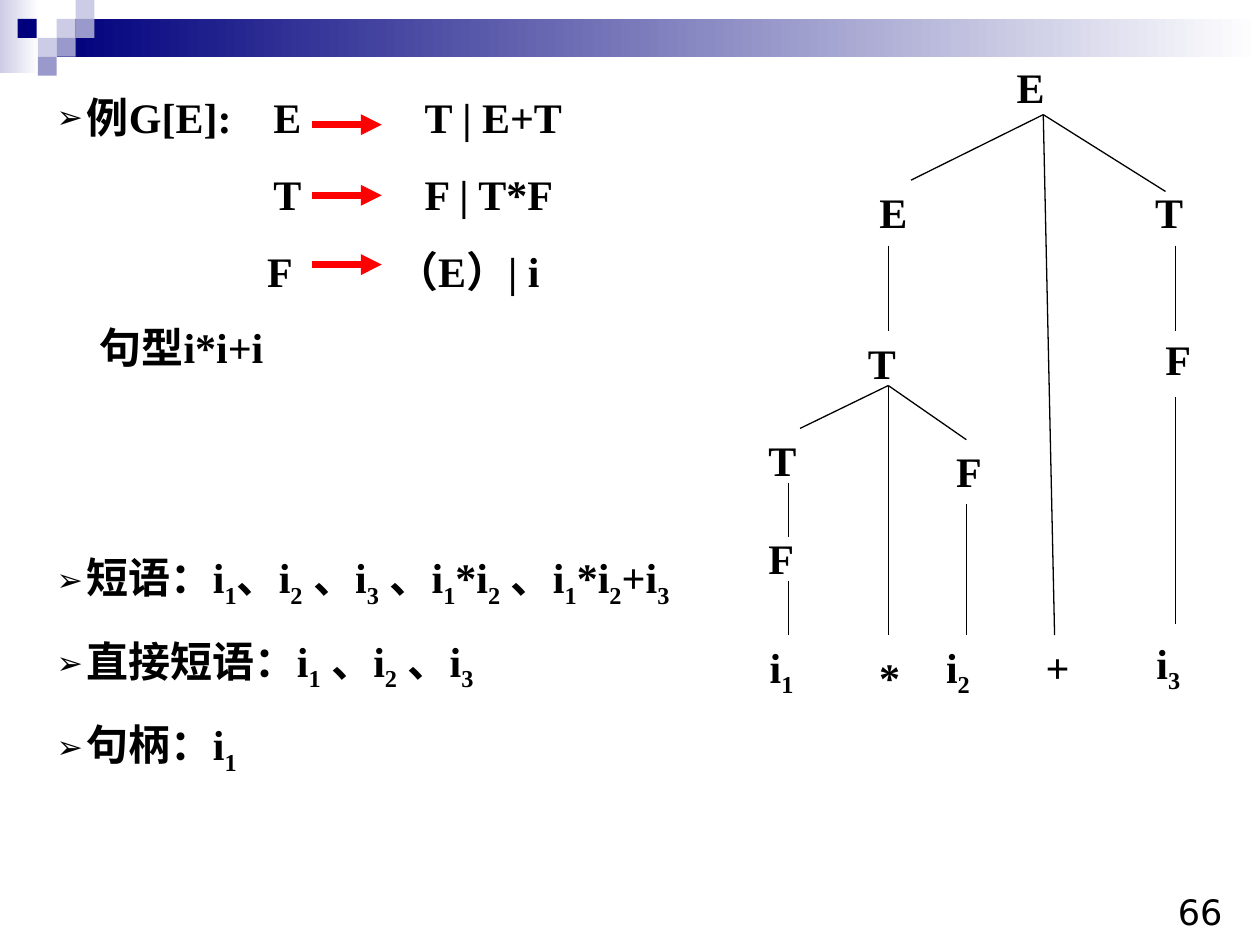
from lxml import etree
from pptx import Presentation
from pptx.dml.color import RGBColor
from pptx.enum.shapes import MSO_CONNECTOR, MSO_SHAPE
from pptx.enum.text import MSO_ANCHOR, MSO_AUTO_SIZE
from pptx.oxml.ns import qn
from pptx.util import Inches, Pt

STRAIGHT = MSO_CONNECTOR.STRAIGHT
RECTANGLE = MSO_SHAPE.RECTANGLE
TOP = MSO_ANCHOR.TOP
NO_AUTOFIT = MSO_AUTO_SIZE.NONE
NAVY, LAVENDER, VIOLET = "00007D", "CCCCE6", "9999CC"
WHITE, BLACK, RED = "FFFFFF", "000000", "FF0000"


def color(hex_string):
    return RGBColor.from_string(hex_string)


def write_formula(paragraph, text):
    """Add bold runs; the character after each underscore is a subscript."""
    first, *rest = text.split("_")
    pieces = [(first, False)]
    for part in rest:
        pieces += [(part[0], True), (part[1:], False)]
    for piece, is_subscript in pieces:
        if piece:
            run = paragraph.add_run()
            run.text = piece
            font_format = {"name": "Times New Roman", "size": Pt(24), "bold": True}
            for name, value in font_format.items():
                setattr(run.font, name, value)
            run.font.color.rgb = color(BLACK)
            if is_subscript:
                run.font._element.set("baseline", "-25000")


presentation = Presentation()
presentation.slide_width = Inches(10)
presentation.slide_height = Inches(7.5)
slide = presentation.slides.add_slide(presentation.slide_layouts[1])
title = slide.shapes.title
title._element.getparent().remove(title._element)

# Header band and mosaic
tile = 0.15
header = [
    (0, 0, 0.31, 0.58, (LAVENDER, WHITE)),
    (0.45, 0.15, 9.55, 0.3, (NAVY, WHITE)),
    (0.45, 0.15, tile, tile, LAVENDER),
    (0.6, 0, tile, tile, LAVENDER),
    (0.6, 0.15, tile, tile, VIOLET),
    (0.3, 0.3, tile, tile, LAVENDER),
    (0.14, 0.15, tile, tile, NAVY),
    (0.45, 0.3, tile, tile, VIOLET),
    (0.3, 0.45, tile, tile, VIOLET),
]
for left, top, width, height, fill in header:
    shape = slide.shapes.add_shape(RECTANGLE, Inches(left), Inches(top), Inches(width), Inches(height))
    shape.shadow.inherit = False
    shape.line.fill.background()
    if isinstance(fill, tuple):
        shape.fill.gradient()
        shape.fill.gradient_angle = 0
        for stop, stop_color in zip(shape.fill.gradient_stops, fill):
            stop.color.rgb = color(stop_color)
    else:
        shape.fill.solid()
        shape.fill.fore_color.rgb = color(fill)

# Grammar and phrases: text, space before, has bullet, left margin
body = slide.placeholders[1]
body.left, body.top, body.width, body.height = Inches(0.35), Inches(0.68), Inches(5.59), Inches(5.99)
frame = body.text_frame
frame.auto_size = NO_AUTOFIT
frame.vertical_anchor = TOP
hanging = 0.24
grammar_tabs = (1.72, 2.92)
body_lines = [
    ("例G[E]:\tE\tT | E+T", 0, True, hanging),
    ("T", 15, False, 1.72),
    ("F", 15, False, 1.67),
    ("句型i*i+i", 15, False, 0.34),
    ("短语：i_1、i_2 、i_3 、i_1*i_2 、i_1*i_2+i_3", 102.5, True, hanging),
    ("直接短语：i_1 、i_2 、i_3", 15, True, hanging),
    ("句柄：i_1", 15, True, hanging),
]
# Right-hand sides, after a space widened by this many points to clear the arrow
right_sides = {"T": ("F | T*F", 64.4), "F": ("（E）| i", 53)}
for index, (text, space_before, has_bullet, margin) in enumerate(body_lines):
    paragraph = frame.paragraphs[0] if index == 0 else frame.add_paragraph()
    properties = paragraph._p.get_or_add_pPr()
    properties.set("marL", str(Inches(margin)))
    properties.set("indent", str(-Inches(margin) if has_bullet else 0))
    if has_bullet:
        bullet_color = etree.SubElement(properties, qn("a:buClr"))
        etree.SubElement(bullet_color, qn("a:srgbClr"), val=BLACK)
        etree.SubElement(properties, qn("a:buSzPct"), val="75000")
        etree.SubElement(properties, qn("a:buChar"), char="➢")
    else:
        etree.SubElement(properties, qn("a:buNone"))
    if "\t" in text:
        tab_list = etree.SubElement(properties, qn("a:tabLst"))
        for position in grammar_tabs:
            etree.SubElement(tab_list, qn("a:tab"), pos=str(Inches(position)), algn="l")
    paragraph.space_before = Pt(space_before)
    write_formula(paragraph, text)
    if text in right_sides:
        right_side, gap = right_sides[text]
        write_formula(paragraph, " ")
        paragraph.runs[-1].font._element.set("spc", str(round(gap * 100)))
        write_formula(paragraph, right_side)

# Production arrows, then the branches of the syntax tree
production_arrows = [(2.48, y, 3.03, y) for y in (0.99, 1.55, 2.1)]
branches = [
    (8.28, 0.91, 7.23, 1.43), (8.28, 0.91, 8.37, 5.04), (8.28, 0.91, 9.25, 1.52),
    (7.05, 1.95, 7.05, 2.63), (9.33, 1.95, 9.33, 2.63), (9.33, 3.15, 9.33, 4.95),
    (7.05, 3.06, 6.35, 3.4), (7.05, 3.06, 7.05, 5.04), (7.05, 3.06, 7.67, 3.49),
    (6.26, 3.83, 6.26, 4.26), (6.26, 4.61, 6.26, 5.04), (7.67, 4, 7.67, 5.04),
]
for lines, line_color, line_width, has_head in (
    (production_arrows, RED, 4, True),
    (branches, BLACK, 0.75, False),
):
    for ends in lines:
        connector = slide.shapes.add_connector(STRAIGHT, *[Inches(value) for value in ends])
        connector.line.color.rgb = color(line_color)
        connector.line.width = Pt(line_width)
        if has_head:
            etree.SubElement(connector.line._get_or_add_ln(), qn("a:tailEnd"), type="triangle")
        etree.SubElement(connector._element.spPr, qn("a:effectLst"))

# Symbols of the syntax tree
nodes = [
    ("E", 7.97, 0.44, 0.42), ("E", 6.88, 1.43, 0.42), ("T", 9.07, 1.43, 0.42),
    ("T", 6.79, 2.63, 0.42), ("F", 9.15, 2.6, 0.4), ("T", 6, 3.4, 0.42),
    ("F", 7.49, 3.49, 0.4), ("F", 6, 4.18, 0.4), ("i_1", 6.01, 5.04, 0.39),
    ("*", 6.88, 5.12, 0.36), ("i_2", 7.41, 5.04, 0.39), ("+", 8.2, 5.04, 0.39),
    ("i_3", 9.08, 5.01, 0.39),
]
for symbol, left, top, width in nodes:
    node = slide.shapes.add_textbox(Inches(left), Inches(top), Inches(width), Inches(0.5))
    node.text_frame.word_wrap = False
    write_formula(node.text_frame.paragraphs[0], symbol)

# Page number
page_number = slide.shapes.add_textbox(Inches(9.25), Inches(7.02), Inches(0.71), Inches(0.48))
page_number.text_frame.word_wrap = True
paragraph = page_number.text_frame.paragraphs[0]
paragraph.text = "66"
paragraph.font.name = "DejaVu Sans"
paragraph.font.size = Pt(20)
paragraph.font.color.rgb = color(BLACK)

presentation.save("out.pptx")
